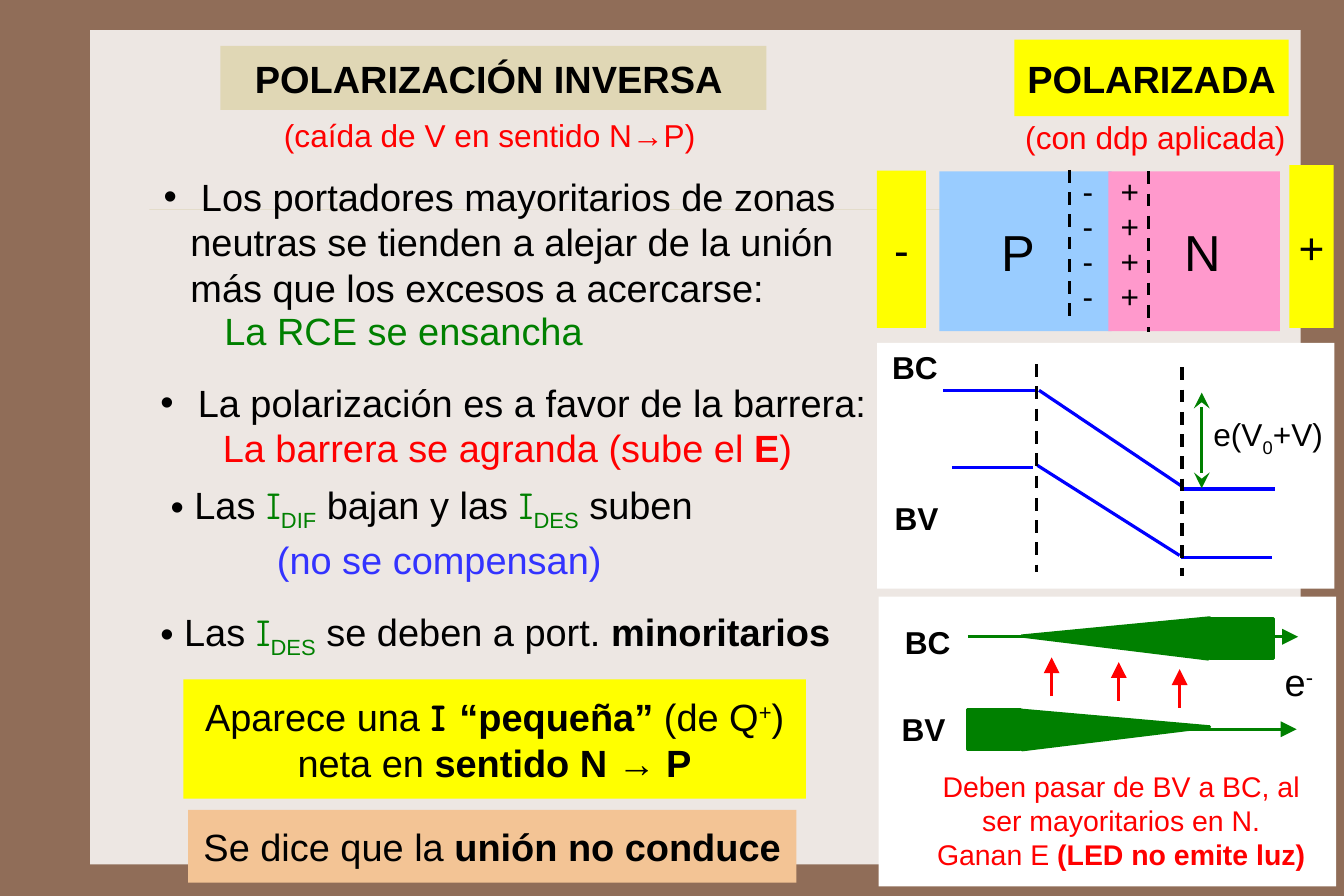
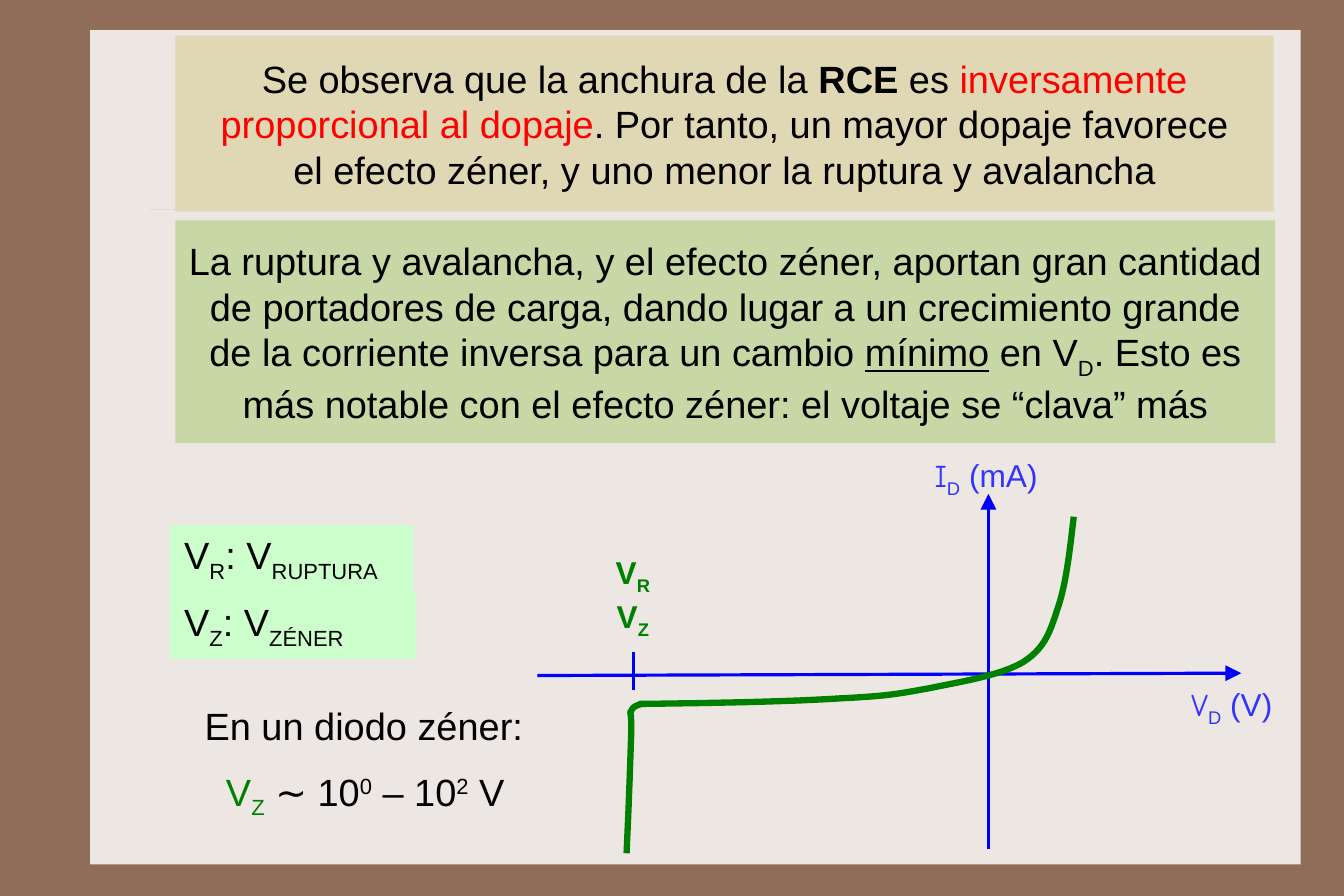
"""Builds two slides on the reverse-biased diode and the Zener effect."""
from lxml import etree
from pptx import Presentation
from pptx.dml.color import RGBColor
from pptx.enum.dml import MSO_LINE
from pptx.enum.shapes import MSO_CONNECTOR, MSO_SHAPE
from pptx.enum.text import MSO_ANCHOR, PP_ALIGN
from pptx.oxml.ns import qn
from pptx.util import Pt

LEFT, CENTER = PP_ALIGN.LEFT, PP_ALIGN.CENTER
MIDDLE = MSO_ANCHOR.MIDDLE
RECTANGLE, STRAIGHT, DASH = MSO_SHAPE.RECTANGLE, MSO_CONNECTOR.STRAIGHT, MSO_LINE.DASH
LEFT_SIDE = 1

THEME = {
    "font": "Arial",
    "symbol_font": "Comic Neue",
    "body": 24, "label": 20, "note": 18, "pole": 28, "zone": 32,
    "colors": {
        "brown": "906D58", "paper": "EDE7E3", "rule": "CBBD83", "white": "FFFFFF",
        "black": "000000", "red": "FF0000", "green": "008000", "blue": "0000FF",
        "violet": "3333FF", "yellow": "FFFF00", "sky": "99CCFF", "pink": "FF99CC",
        "orange": "F3C495", "sand": "E0D7B5", "sage": "C7D7A5", "mint": "CCFFCC",
    },
}
MARKS = {
    "b": {"bold": True},
    "u": {"underline": True},
    "symbol": {"name": THEME["symbol_font"]},
}
BASELINES = {"sub": "-25000", "sup": "30000"}

BASE = {"size": THEME["body"], "color": "black", "bold": False, "align": CENTER,
        "wrap": True, "inset": 7, "fill": None, "hang": 0, "pitch": None}
LABEL = {"size": THEME["label"], "wrap": False, "inset": 0}
FORMATS = {
    "panel": {"fill": "white"},
    "p_zone": {"fill": "sky"},
    "n_zone": {"fill": "pink"},
    "zone": {"size": THEME["zone"], "wrap": False, "inset": 0},
    "pole": {"fill": "yellow", "size": THEME["pole"], "wrap": False},
    "charges": {**LABEL, "pitch": 22},
    "title": {"fill": "sand", "bold": True},
    "state": {"fill": "yellow", "bold": True, "wrap": False},
    "subtitle": {**LABEL, "color": "red"},
    "label": LABEL,
    "band_label": {**LABEL, "bold": True},
    "voltage": {**LABEL, "bold": True, "color": "green"},
    "axis": {**LABEL, "color": "violet"},
    "electron": {"wrap": False, "inset": 0},
    "note": {"size": THEME["note"], "color": "red"},
    "bullet": {"align": LEFT, "hang": 17},
    "near_bullet": {"align": LEFT, "hang": 15},
    "body": {"align": LEFT},
    "widens": {"align": LEFT, "color": "green"},
    "grows": {"align": LEFT, "color": "red"},
    "aside": {"color": "violet", "wrap": False},
    "result": {"fill": "yellow"},
    "verdict": {"fill": "orange"},
    "doping": {"fill": "sand", "inset": 20},
    "breakdown": {"fill": "sage", "inset": 6},
    "symbol_key": {"fill": "mint", "align": LEFT, "inset": 9},
}
LINES = {
    "rule": {"color": "rule", "width": 0.25, "alpha": "40000"},
    "band": {"color": "blue", "width": 2},
    "edge": {"color": "black", "width": 2, "dash": DASH},
    "gap": {"color": "green", "width": 2, "head": "stealth", "tail": "stealth"},
    "flow": {"color": "green", "width": 2, "tail": "triangle"},
    "jump": {"color": "red", "width": 2, "tail": "triangle"},
    "axis": {"color": "blue", "width": 2, "tail": "triangle"},
    "curve": {"color": "green", "width": 4},
}

I_DES = [("I", "symbol", "green"), ("DES", "sub", "green")]
REVERSE_ITEMS = [
    ("panel", (555, 217, 289.5, 155.5), []),
    ("panel", (556, 377.5, 289.5, 183.5), []),
    ("band_label", (557.5, 211, 43, 42), [["BC"]]),
    ("band_label", (558.5, 307, 43, 42), [["BV"]]),
    ("label", (760.5, 255, 84, 42.5), [["e(V", ("0", "sub"), "+V)"]]),
    ("pole", (555, 108, 31, 99.5), [["-"]]),
    ("pole", (816, 104.5, 28, 103), [["+"]]),
    ("state", (642, 25, 173.5, 48.5), [["POLARIZADA"]]),
    ("subtitle", (641, 65, 180.5, 43), [["(con ddp aplicada)"]]),
    ("p_zone", (594.5, 108.5, 109, 101), []),
    ("n_zone", (701.5, 108.5, 108.5, 101), []),
    ("zone", (627, 130.5, 35.5, 57), [["P"]]),
    ("zone", (742.5, 130.5, 37.5, 57), [["N"]]),
    ("charges", (702, 111, 26, 88), [["+"]] * 4),
    ("charges", (678, 111, 21, 88), [["-"]] * 4),
    ("title", (139.5, 29, 345.5, 40.5), [["POLARIZACIÓN INVERSA "]]),
    ("subtitle", (161, 67.5, 298, 36), [["(caída de V en sentido N→P)"]]),
    ("bullet", (96.5, 109, 442, 88),
     [[" Los portadores mayoritarios de zonas neutras se tienden a alejar de la unión "
       "más que los excesos a acercarse:"]]),
    ("widens", (135, 192.5, 250, 33), [["La RCE se ensancha"]]),
    ("bullet", (94.5, 238, 470, 33), [[" La polarización es a favor de la barrera:"]]),
    ("grows", (134, 266.5, 395, 33),
     [["La barrera se agranda (sube el ", ("E", "b"), ")"]]),
    ("near_bullet", (101, 304.5, 370, 33),
     [["Las ", ("I", "symbol", "green"), ("DIF", "sub", "green"), " bajan y las ",
       *I_DES, " suben"]]),
    ("aside", (162, 337.5, 232, 33), [["(no se compensan)"]]),
    ("near_bullet", (94.5, 385, 461, 33),
     [["Las ", *I_DES, " se deben a port. ", ("minoritarios", "b")]]),
    ("result", (116, 430, 394, 75.5),
     [["Aparece una ", ("I ", "symbol", "b"), ("“pequeña”", "b"), " (de Q", ("+", "sup"),
       ") neta en ", ("sentido N → P", "b")]]),
    ("verdict", (119, 512.5, 385, 46), [["Se dice que la ", ("unión no conduce", "b")]]),
    ("band_label", (565.5, 385, 43, 42), [["BC"]]),
    ("band_label", (563, 440, 43, 42), [["BV"]]),
    ("electron", (805.5, 407.5, 33, 47.5), [["e", ("-", "sup")]]),
    ("note", (582.5, 476.5, 254, 84.5),
     [["Deben pasar de BV a BC, al ser mayoritarios en N."],
      ["Ganan E ", ("(LED no emite luz)", "b")]]),
]
REVERSE_LINES = [
    ("band", (597, 247, 656, 247)), ("band", (657.5, 247, 747.5, 307.5)),
    ("band", (746.5, 309.5, 807, 309.5)),
    ("band", (602.5, 296, 654, 296)), ("band", (656.5, 294.5, 746.5, 351.5)),
    ("band", (747.5, 353, 805, 353)),
    ("edge", (656, 230.5, 656, 362)), ("edge", (748, 232.5, 748, 364.5)),
    ("edge", (677, 107.5, 677, 206)), ("edge", (727, 108.5, 727, 210)),
    ("gap", (760.5, 248.5, 760.5, 309)),
    ("flow", (612.5, 403, 821.5, 403)),
]
VALENCE_FLOW = (612.5, 461.5, 820.5, 461.5)
CONDUCTION_BLOCK = (765.5, 391.5, 40.5, 25.5)
VALENCE_BLOCK = (612.5, 449, 33, 25)
WEDGES = [
    [(646.5, 402.5), (765.5, 391), (764.5, 417)],
    [(765.5, 460), (646.5, 449.5), (647, 474.5)],
]
JUMP_STARTS = [(665.5, 440.5), (708, 443.5), (746.5, 448)]
JUMP_HEIGHT = 24.5

ZENER_ITEMS = [
    ("doping", (111, 22.5, 695, 111.5),
     [["Se observa que la anchura de la ", ("RCE", "b"), " es",
       (" inversamente proporcional al dopaje", "red"),
       ". Por tanto, un mayor dopaje favorece el efecto zéner, y uno menor la ruptura "
       "y avalancha"]]),
    ("breakdown", (111, 139.5, 696, 141),
     [["La ruptura y avalancha, y el efecto zéner, aportan gran cantidad de portadores de "
       "carga, dando lugar a un crecimiento grande de la corriente inversa para un cambio ",
       ("mínimo", "u"), " en V", ("D", "sub"),
       ". Esto es más notable con el efecto zéner: el voltaje se “clava” más"]]),
    ("symbol_key", (107.5, 373.5, 155.5, 43.5),
     [["V", ("Z", "sub"), ": V", ("ZÉNER", "sub")]]),
    ("symbol_key", (107.5, 332.5, 154, 41),
     [["V", ("R", "sub"), ": V", ("RUPTURA", "sub")]]),
    ("body", (122.5, 442.5, 230, 33), [["En un diodo zéner:"]]),
    ("body", (136, 486, 220, 33),
     [[("V", "green"), ("Z", "sub", "green"), " ∼ 10", ("0", "sup"), " – 10",
       ("2", "sup"), " V"]]),
    ("axis", (582, 281, 84, 42.5), [[("I", "symbol"), ("D", "sub"), " (mA)"]]),
    ("axis", (745, 426, 69, 42.5), [[("V", "symbol"), ("D", "sub"), " (V)"]]),
    ("voltage", (382, 342, 37, 43), [["V", ("R", "sub")]]),
    ("voltage", (382, 370, 37, 43), [["V", ("Z", "sub")]]),
]
ZENER_LINES = [
    ("axis", (625.5, 537, 625.5, 312.5)),
    ("axis", (340, 427.5, 785.5, 426)),
    ("band", (401, 412.5, 401, 436.5)),
]
ZENER_CURVES = [
    [(679.5, 327), (677, 348.5), (674.5, 371), (669, 386), (664, 402), (660, 411),
     (647.5, 419), (633.5, 427.5), (607.5, 431.5), (588.5, 435.5), (569, 439),
     (562.5, 440.5), (531.5, 442), (501, 444), (452, 445), (404, 445.5)],
    [(406, 445.5), (403, 446.5), (400.5, 447), (399.5, 450), (398, 452), (399.5, 447),
     (399.5, 462), (399, 477.5), (398, 508.5), (396.5, 540)],
]
CURVE_STEPS = 12


def color(name):
    return RGBColor.from_string(THEME["colors"][name])


def paint(shape, fill=None, outline=None):
    shape.shadow.inherit = False
    if fill:
        shape.fill.solid()
        shape.fill.fore_color.rgb = color(fill)
    else:
        shape.fill.background()
    if outline:
        shape.line.color.rgb = color(LINES[outline]["color"])
        shape.line.width = Pt(LINES[outline]["width"])
    else:
        shape.line.fill.background()
    return shape


def add_block(slide, box, fill, outline=None):
    block = slide.shapes.add_shape(RECTANGLE, *map(Pt, box))
    return paint(block, fill, outline)


def add_run(paragraph, piece, form):
    words, *marks = (piece,) if isinstance(piece, str) else piece
    run = paragraph.add_run()
    run.text = words
    values = {"name": THEME["font"], "size": Pt(form["size"]), "bold": form["bold"]}
    tint = form["color"]
    for mark in marks:
        values.update(MARKS.get(mark, {}))
        if mark in BASELINES:
            run._r.get_or_add_rPr().set("baseline", BASELINES[mark])
        if mark in THEME["colors"]:
            tint = mark
    for key, value in values.items():
        setattr(run.font, key, value)
    run.font.color.rgb = color(tint)


def add_item(slide, kind, box, paragraphs):
    form = {**BASE, **FORMATS[kind]}
    if form["fill"]:
        holder = add_block(slide, box, form["fill"])
    else:
        holder = slide.shapes.add_textbox(*map(Pt, box))
    frame = holder.text_frame
    inset = Pt(form["inset"])
    settings = {"word_wrap": form["wrap"], "vertical_anchor": MIDDLE, "margin_left": inset,
                "margin_right": inset, "margin_top": 0, "margin_bottom": 0}
    for key, value in settings.items():
        setattr(frame, key, value)
    for index, pieces in enumerate(paragraphs):
        paragraph = frame.add_paragraph() if index else frame.paragraphs[0]
        if form["hang"]:
            properties = paragraph._p.get_or_add_pPr()
            properties.set("marL", str(Pt(form["hang"])))
            properties.set("indent", str(-Pt(form["hang"])))
            etree.SubElement(properties, qn("a:buFont"), typeface=THEME["font"])
            etree.SubElement(properties, qn("a:buChar"), char="•")
        paragraph.alignment = form["align"]
        if form["pitch"]:
            paragraph.line_spacing = Pt(form["pitch"])
        for piece in pieces:
            add_run(paragraph, piece, form)


def add_line(slide, kind, ends):
    look = LINES[kind]
    connector = slide.shapes.add_connector(STRAIGHT, *map(Pt, ends))
    connector.line.color.rgb = color(look["color"])
    connector.line.width = Pt(look["width"])
    if "dash" in look:
        connector.line.dash_style = look["dash"]
    outline = connector.line._get_or_add_ln()
    if "alpha" in look:
        tint = outline.find(".//" + qn("a:srgbClr"))
        etree.SubElement(tint, qn("a:alpha"), val=look["alpha"])
    for end in ("head", "tail"):
        if end in look:
            etree.SubElement(outline, qn(f"a:{end}End"), type=look[end], w="lg", len="lg")
    etree.SubElement(connector._element.spPr, qn("a:effectLst"))
    return connector


def add_outline(slide, points, closed):
    start, *rest = [(Pt(x), Pt(y)) for x, y in points]
    builder = slide.shapes.build_freeform(*start)
    builder.add_line_segments(rest, close=closed)
    return builder.convert_to_shape()


def smooth(controls):
    """Return points along a chain of cubic curves."""
    points = [controls[0]]
    for first in range(0, len(controls) - 1, 3):
        for step in range(1, CURVE_STEPS + 1):
            t = step / CURVE_STEPS
            weights = ((1 - t) ** 3, 3 * t * (1 - t) ** 2, 3 * t * t * (1 - t), t ** 3)
            chain = controls[first:first + 4]
            points.append(tuple(sum(w * p[axis] for w, p in zip(weights, chain))
                                for axis in (0, 1)))
    return points


def add_slide(deck, items, lines):
    slide = deck.slides.add_slide(deck.slide_layouts[6])
    slide.background.fill.solid()
    slide.background.fill.fore_color.rgb = color("brown")
    add_block(slide, (57, 19, 766, 528), "paper")
    add_line(slide, "rule", (94.5, 132.5, 808, 132.5))
    for item in items:
        add_item(slide, *item)
    for line in lines:
        add_line(slide, *line)
    return slide


def main():
    deck = Presentation()
    deck.slide_width, deck.slide_height = Pt(850.5), Pt(567)

    reverse = add_slide(deck, REVERSE_ITEMS, REVERSE_LINES)
    add_block(reverse, CONDUCTION_BLOCK, "green", "flow")
    valence = add_block(reverse, VALENCE_BLOCK, "green", "flow")
    add_line(reverse, "flow", VALENCE_FLOW).begin_connect(valence, LEFT_SIDE)
    for wedge in WEDGES:
        paint(add_outline(reverse, wedge, True), "green", "flow")
    for x, y in JUMP_STARTS:
        add_line(reverse, "jump", (x, y, x, y - JUMP_HEIGHT))

    zener = add_slide(deck, ZENER_ITEMS, ZENER_LINES)
    for controls in ZENER_CURVES:
        paint(add_outline(zener, smooth(controls), False), outline="curve")

    deck.save("out.pptx")


if __name__ == "__main__":
    main()
